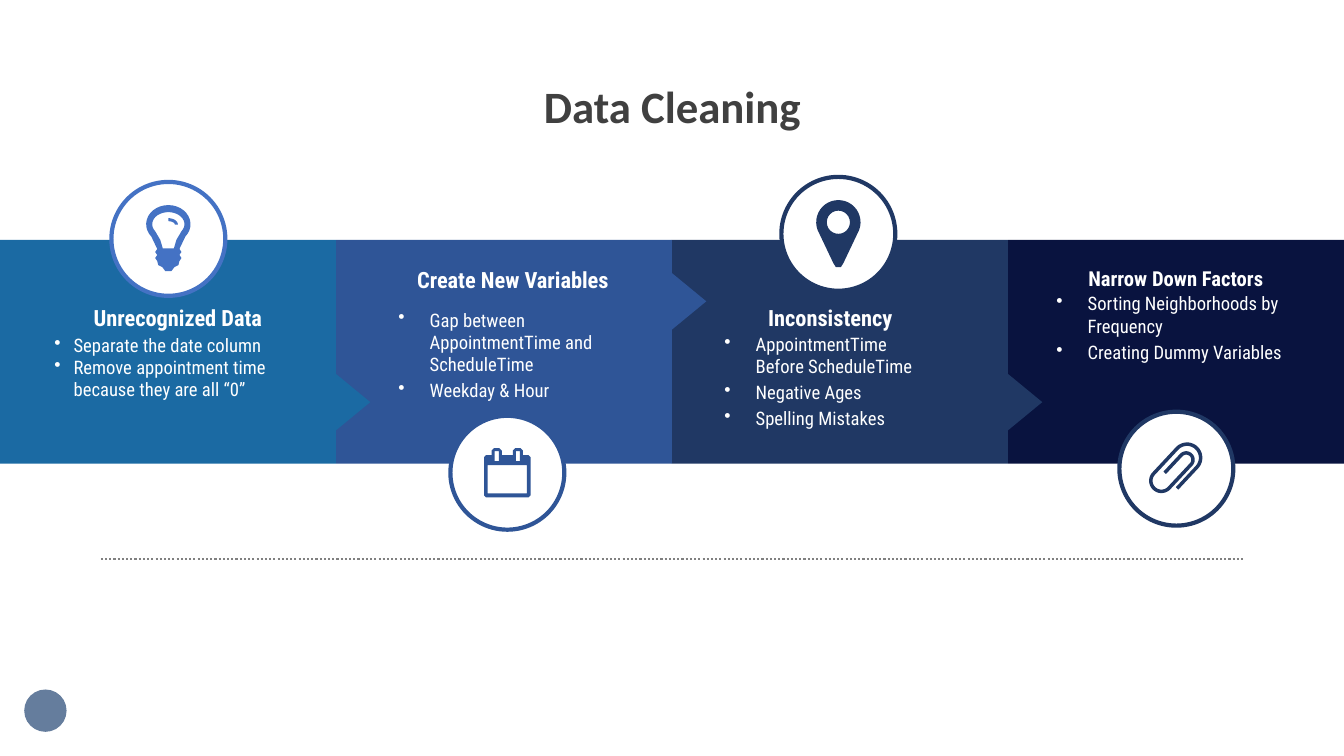
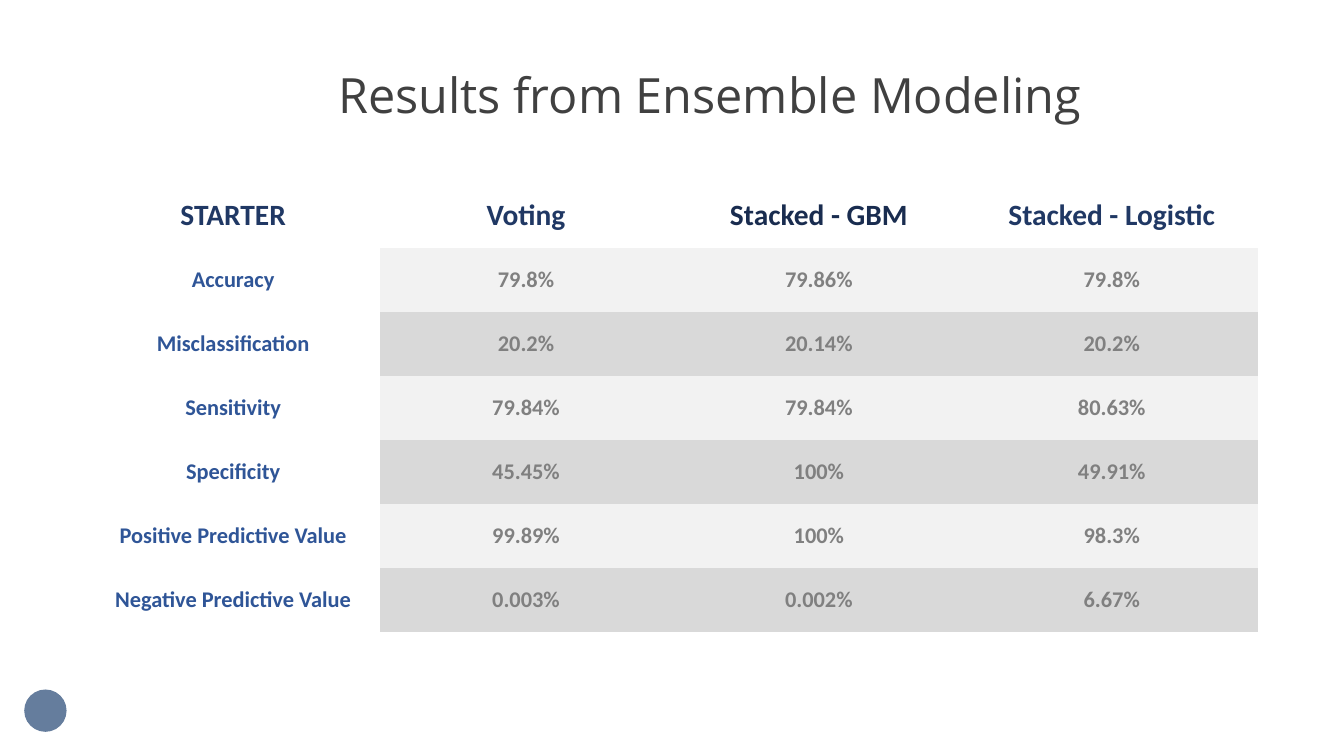
import math
from dataclasses import dataclass

from lxml import etree
from pptx import Presentation
from pptx import util as u
from pptx.dml.color import RGBColor
from pptx.enum import dml, shapes, text
from pptx.oxml import ns


@dataclass(frozen=True)
class Theme:
    white: str = "FFFFFF"
    ink: str = "404040"
    grey: str = "808080"
    badge: str = "657D9D"
    teal: str = "1B6AA3"
    blue: str = "2F5597"
    bright: str = "4472C4"
    navy: str = "203864"
    deep: str = "192C4F"
    night: str = "09133F"
    bands: tuple = ("F2F2F2", "D9D9D9")
    main: str = "Calibri"
    light: str = "Open Sans"
    narrow: str = "Roboto Condensed"
    title: float = 32
    title_light: float = 34.7
    table_head: float = 21
    label: float = 16
    label_small: float = 14.7
    body: float = 13.3


T = Theme()
NO_GRID_STYLE = "{2D5ABB26-0587-4C30-8999-92F81FD0307C}"


def rgb(value):
    return RGBColor.from_string(value)


def inches(*values):
    return [u.Inches(v) for v in values]


def paint(sp, fill=None, line=None, width=0.75):
    sp.shadow.inherit = False
    if fill:
        sp.fill.solid()
        sp.fill.fore_color.rgb = rgb(fill)
    else:
        sp.fill.background()
    if line:
        sp.line.color.rgb = rgb(line)
        sp.line.width = u.Pt(width)
    else:
        sp.line.fill.background()


def add_preset(s, kind, box, **look):
    sp = s.shapes.add_shape(kind, *inches(*box))
    paint(sp, **look)
    return sp


def add_bullet(p, indent):
    pPr = p._p.get_or_add_pPr()
    pPr.set("marL", str(u.Inches(indent)))
    pPr.set("indent", str(-u.Inches(indent)))
    etree.SubElement(pPr, ns.qn("a:buChar")).set("char", "•")


def write(tf, lines, *, font=T.main, size=T.body, color=T.white, bold=False,
          align=text.PP_ALIGN.CENTER, anchor=text.MSO_ANCHOR.TOP,
          spacing=None, before=0, indent=None, margins=(0, 0)):
    tf.word_wrap = True
    tf.auto_size = text.MSO_AUTO_SIZE.NONE
    tf.vertical_anchor = anchor
    tf.margin_left = tf.margin_right = u.Inches(margins[0])
    tf.margin_top = tf.margin_bottom = u.Inches(margins[1])
    for i, line in enumerate(lines):
        p = tf.add_paragraph() if i else tf.paragraphs[0]
        p.alignment = align
        if spacing:
            p.line_spacing = spacing
        if i and before:
            p.space_before = u.Pt(before)
        if indent:
            add_bullet(p, indent)
        r = p.add_run()
        r.text = line
        r.font.name, r.font.size, r.font.bold = font, u.Pt(size), bold
        r.font.color.rgb = rgb(color)


def add_text(s, box, lines, **style):
    write(s.shapes.add_textbox(*inches(*box)).text_frame, lines, **style)


def add_slide(prs, title, box, **style):
    """Start a slide with its title and the corner badge."""
    s = prs.slides.add_slide(prs.slide_layouts[5])
    add_preset(s, shapes.MSO_SHAPE.OVAL, (0.24, 6.84, 0.42, 0.42), fill=T.badge)
    sp = s.shapes.title
    sp.left, sp.top, sp.width, sp.height = inches(*box)
    write(sp.text_frame, [title], color=T.ink, spacing=0.9,
          anchor=text.MSO_ANCHOR.MIDDLE, **style)
    return s


# Icon outlines are in hundredths of an inch around the centre of their disc.
def arc(cx, cy, rx, ry, start, end, steps=24):
    angles = [math.radians(start + (end - start) * i / steps) for i in range(steps + 1)]
    return [(cx + rx * math.cos(a), cy + ry * math.sin(a)) for a in angles]


def rect(x0, y0, x1, y1):
    return [(x0, y0), (x1, y0), (x1, y1), (x0, y1)]


def mirrored(points):
    return points + [(-x, y) for x, y in reversed(points)]


def bulb():
    base = [(11, 10), (13, 13), (11, 16), (13, 19), (11, 22), (10, 26),
            (6, 28), (3, 32)]
    glass = arc(0, -14.5, 22, 19, 140, 400)
    hollow = arc(0, -14.5, 16, 12, 145, 395) + [(8, 1), (5.5, 9.5), (-5.5, 9.5), (-8, 1)]
    glint = arc(0, -14, 9.5, 6.5, 270, 360) + arc(0, -14, 6.5, 3.5, 360, 270)
    return [glass + mirrored(base), hollow, glint]


def calendar():
    tab = [(5.5, -17.5), (5.5, -22), (8, -24.5), (13, -24.5), (15.5, -22), (15.5, -17.5)]
    side = tab + [(21, -17.5), (23, -15.5), (23, 22.5), (21, 24.5)]
    return [mirrored(side), rect(-19.5, -7.5, 19.5, 20.5),
            rect(-12.5, -21.5, -8.5, -11.5), rect(8.5, -21.5, 12.5, -11.5)]


def pin():
    head = arc(0, -11.5, 22, 22, 160, 380)
    return [head + mirrored([(5, 29), (2.5, 33)]), arc(0, -11.5, 11.5, 11.5, 0, 360)]


def clip():
    wire = [(13.5, 14)] + arc(0, -15, 13.5, 13.5, 0, -180)
    wire += arc(-3, 19, 10.5, 10.5, 180, 0) + arc(0.75, -13, 6.75, 6.75, 0, -180)
    return [wire + [(-6, 11)]]


def add_icon(s, center, contours, color, closed=True, turn=0):
    cx, cy = center
    paths = [[(u.Inches(cx + x / 100), u.Inches(cy + y / 100)) for x, y in c]
             for c in contours]
    fb = s.shapes.build_freeform(*paths[0][0])
    for i, points in enumerate(paths):
        if i:
            fb.move_to(*points[0])
        fb.add_line_segments(points[1:], close=closed)
    sp = fb.convert_to_shape()
    if closed:
        paint(sp, fill=color)
    else:
        paint(sp, line=color, width=2.5)
    sp.rotation = turn


def add_disc(s, center, color, contours, **icon):
    size = 1.13
    x, y = center
    add_preset(s, shapes.MSO_SHAPE.OVAL, (x - size / 2, y - size / 2, size, size),
               fill=T.white, line=color, width=3)
    add_icon(s, center, contours, color, **icon)


def add_block(s, box, color, arrow=None):
    """A band section; arrow is how far down its right edge the arrow sits."""
    x, y, w, h = box
    add_preset(s, shapes.MSO_SHAPE.RECTANGLE, box, fill=color)
    if arrow is not None:
        base, depth = 0.56, 0.34
        sp = add_preset(s, shapes.MSO_SHAPE.ISOSCELES_TRIANGLE,
                        (x + w + depth / 2 - base / 2, y + arrow - depth / 2, base, depth),
                        fill=color)
        sp.rotation = 90


def add_step(s, box, step):
    x, y = box[:2]

    def place(part):
        return (x + part[0], y + part[1], *part[2:])

    add_text(s, place(step["head_at"]), [step["head"]], font=T.narrow,
             size=step.get("size", T.label), bold=True)
    add_text(s, place(step["list_at"]), step["items"], font=T.narrow,
             align=text.PP_ALIGN.LEFT, indent=step.get("indent", 0.31),
             before=step.get("before", 2.7))
    add_disc(s, place(step["disc_at"]), step.get("ring", step["color"]),
             step["icon"], **step.get("icon_style", {}))


STEPS = [
    dict(color=T.teal, arrow=1.61, ring=T.bright, icon=bulb(), disc_at=(1.67, -0.01),
         head="Unrecognized Data", head_at=(0.75, 0.64, 2.03, 0.27),
         items=["Separate the date column",
                "Remove appointment time because they are all “0”"],
         list_at=(0.54, 0.93, 2.2, 1.12), indent=0.19, before=0),
    dict(color=T.blue, arrow=0.61, icon=calendar(), disc_at=(1.7, 2.31),
         head="Create New Variables", head_at=(0.62, 0.26, 2.27, 0.42),
         items=["Gap between AppointmentTime and ScheduleTime", "Weekday & Hour"],
         list_at=(0.62, 0.68, 2.28, 0.94)),
    dict(color=T.navy, arrow=1.61, icon=pin(), disc_at=(1.65, -0.06),
         head="Inconsistency", head_at=(0.82, 0.64, 1.5, 0.27),
         items=["AppointmentTime Before ScheduleTime", "Negative Ages",
                "Spelling Mistakes"],
         list_at=(0.52, 0.92, 2.1, 0.99)),
    dict(color=T.night, ring=T.navy, icon=clip(), disc_at=(1.67, 2.27),
         icon_style=dict(closed=False, turn=43),
         head="Narrow Down Factors", head_at=(0.6, 0.26, 2.13, 0.25), size=T.label_small,
         items=["Sorting Neighborhoods by Frequency", "Creating Dummy Variables"],
         list_at=(0.48, 0.52, 2.39, 0.94)),
]


def add_process(s, box):
    x, y, w, h = box
    step_w = w / len(STEPS)
    placed = [((x + i * step_w, y, step_w, h), step) for i, step in enumerate(STEPS)]
    for cell, step in reversed(placed):  # each arrow overlaps the next block
        add_block(s, cell, step["color"], step.get("arrow"))
    for cell, step in placed:
        add_step(s, cell, step)


def add_divider(s, x0, x1, y):
    ln = s.shapes.add_connector(shapes.MSO_CONNECTOR.STRAIGHT, *inches(x0, y, x1, y))
    ln.line.color.rgb = rgb(T.grey)
    ln.line.width = u.Pt(1.5)
    ln.line.dash_style = dml.MSO_LINE.ROUND_DOT
    etree.SubElement(ln._element.spPr, ns.qn("a:effectLst"))


RESULTS = [
    ("STARTER", "Voting", "Stacked - GBM", "Stacked - Logistic"),
    ("Accuracy", "79.8%", "79.86%", "79.8%"),
    ("Misclassification", "20.2%", "20.14%", "20.2%"),
    ("Sensitivity", "79.84%", "79.84%", "80.63%"),
    ("Specificity", "45.45%", "100%", "49.91%"),
    ("Positive Predictive Value", "99.89%", "100%", "98.3%"),
    ("Negative Predictive Value", "0.003%", "0.002%", "6.67%"),
]


def add_results(s, box):
    table = s.shapes.add_table(len(RESULTS), len(RESULTS[0]), *inches(*box)).table
    table.first_row = table.horz_banding = False
    table._tbl.tblPr.find(ns.qn("a:tableStyleId")).text = NO_GRID_STYLE
    for i, row in enumerate(RESULTS):
        for j, value in enumerate(row):
            cell = table.cell(i, j)
            if i and j:
                cell.fill.solid()
                cell.fill.fore_color.rgb = rgb(T.bands[(i - 1) % 2])
                color = T.grey
            else:
                cell.fill.background()
                color = T.blue if i else T.deep if j == 2 else T.navy
            write(cell.text_frame, [value], color=color, bold=True,
                  size=T.label if i else T.table_head, margins=(0.13, 0.07))
            cell.margin_left = cell.margin_right = u.Inches(0.13)
            cell.margin_top = cell.margin_bottom = u.Inches(0.07)
            cell.vertical_anchor = text.MSO_ANCHOR.MIDDLE


def main():
    prs = Presentation()
    prs.slide_width, prs.slide_height = inches(13.33, 7.5)

    s = add_slide(prs, "Data Cleaning", (2.56, 0.47, 8.22, 1.23), size=T.title, bold=True)
    add_process(s, (0, 2.38, 13.33, 2.22))
    add_divider(s, 1, 12.33, 5.55)

    s = add_slide(prs, "Results from Ensemble Modeling", (2.93, 0.71, 8.22, 0.52),
                  font=T.light, size=T.title_light)
    add_results(s, (0.86, 1.82, 11.62, 4.45))

    prs.save("out.pptx")


if __name__ == "__main__":
    main()
